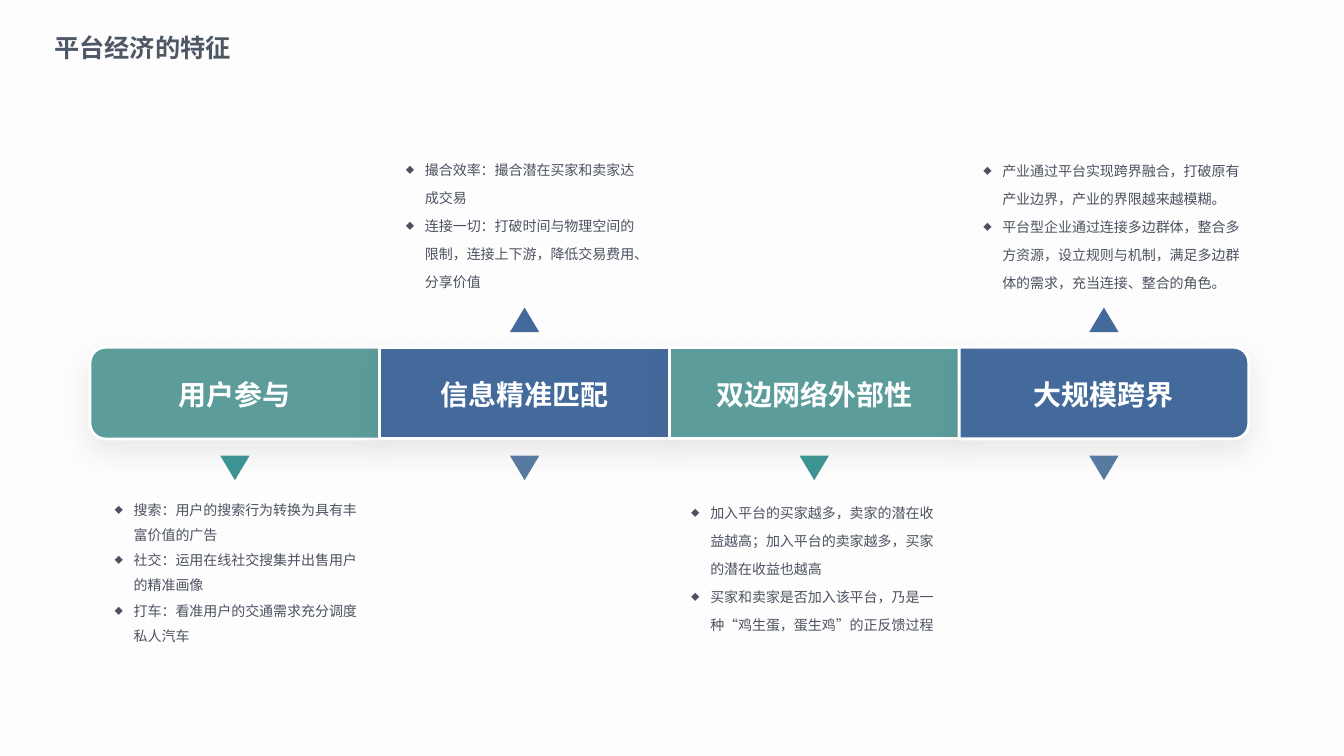
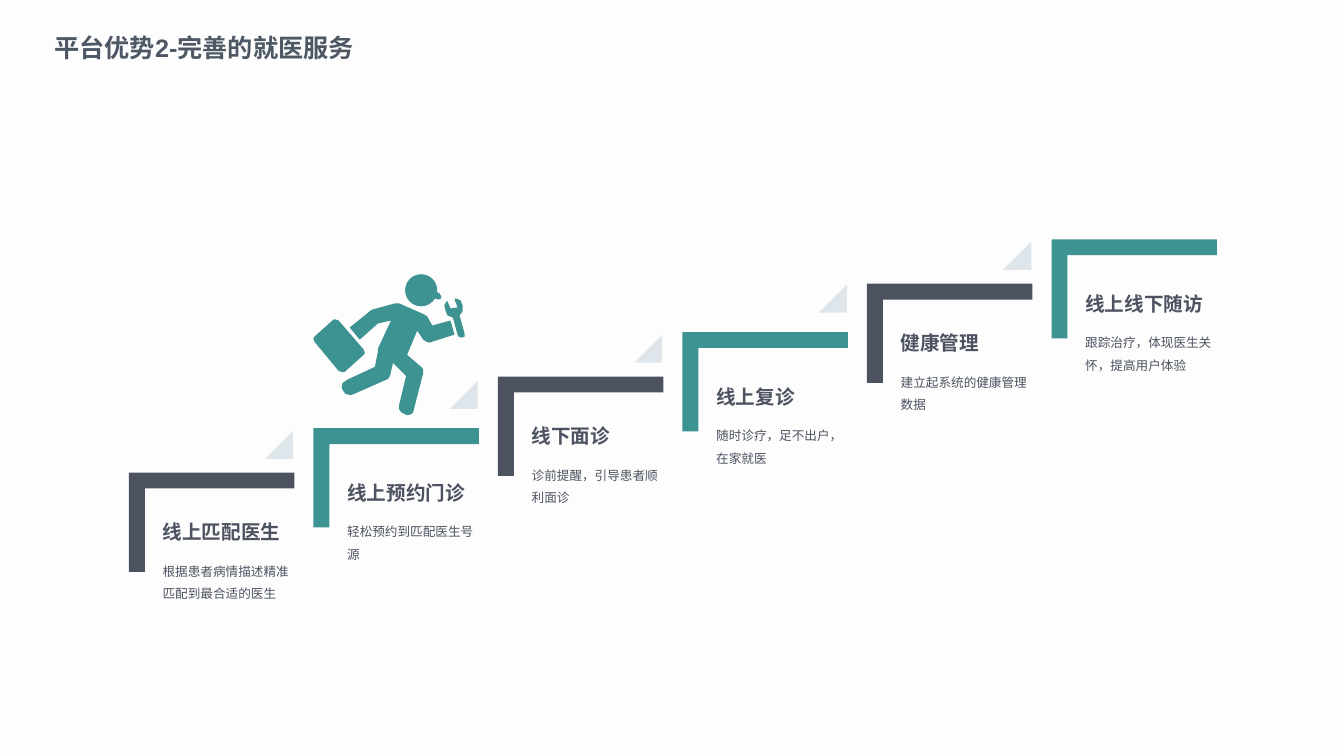
"""Build two slides on platform economy traits and the steps of a care service."""
import lxml.etree
import pptx
import pptx.dml.color
import pptx.enum.shapes
import pptx.enum.text
import pptx.oxml.ns
import pptx.util

Cm = pptx.util.Cm
Pt = pptx.util.Pt
RGB = pptx.dml.color.RGBColor.from_string
SHAPE = pptx.enum.shapes.MSO_SHAPE
ALIGN = pptx.enum.text.PP_ALIGN
qn = pptx.oxml.ns.qn


class Theme:
    white = RGB("FFFFFF")
    haze = RGB("FDFDFD")
    title = RGB("4E5865")
    slate = RGB("4C5260")
    teal = RGB("3D9391")
    sage = RGB("5C9C9B")
    blue = RGB("446A9C")
    steel = RGB("597AA0")
    mist = RGB("DFE6EB")
    shadow = RGB("32363F")
    latin = "Arial"
    chinese = "Noto Sans CJK SC"
    title_size = Pt(18)
    label_size = Pt(20)
    step_size = Pt(14)
    note_size = Pt(10)
    detail_size = Pt(9)


def paint(shape, color):
    """Give a shape a flat fill with no outline or shadow."""
    shape.shadow.inherit = False
    shape.fill.solid()
    shape.fill.fore_color.rgb = color
    shape.line.fill.background()
    return shape


def write(page, area, lines, size, color, bold=False, font=Theme.latin,
          spacing=1.0, align=ALIGN.LEFT, bullet=False, inset=True):
    """Place a wrapping text box; area is left, top, width, height in cm."""
    box = page.shapes.add_textbox(*(Cm(length) for length in area))
    frame = box.text_frame
    frame.word_wrap = True
    if not inset:
        frame.margin_left = frame.margin_right = 0
        frame.margin_top = frame.margin_bottom = 0
    for index, line in enumerate(lines):
        para = frame.paragraphs[0] if index == 0 else frame.add_paragraph()
        para.text = line
        para.alignment = align
        para.line_spacing = spacing
        properties = para._p.get_or_add_pPr()
        if bullet:
            properties.set("marL", str(Cm(0.48)))
            properties.set("indent", str(-Cm(0.48)))
            lxml.etree.SubElement(properties, qn("a:buSzPct"), val="60000")
            lxml.etree.SubElement(properties, qn("a:buFont"), typeface=Theme.chinese)
            lxml.etree.SubElement(properties, qn("a:buChar"), char="◆")
        para.font.size = size
        para.font.bold = bold
        para.font.color.rgb = color
        para.font.name = font
        latin = properties.find(qn("a:defRPr")).find(qn("a:latin"))
        latin.addnext(latin.makeelement(qn("a:ea"), {"typeface": Theme.chinese}))


deck = pptx.Presentation()
deck.slide_width = Cm(33.87)
deck.slide_height = Cm(19.05)
backdrop = deck.slide_master.background.fill
backdrop.solid()
backdrop.fore_color.rgb = Theme.haze

pages = []
for title in ("平台经济的特征", "平台优势2-完善的就医服务"):
    page = deck.slides.add_slide(deck.slide_layouts[6])
    write(page, (1.12, 0.69, 8.13, 1.02), [title],
          Theme.title_size, Theme.title, bold=True)
    pages.append(page)
traits_page, steps_page = pages

bar_left, bar_top, bar_height, segment_width = 2.27, 8.75, 2.31, 7.3
arrow_width, arrow_height = 0.74, 0.62
traits = (
    ("用户参与", -90, Theme.sage, (2.64, 12.29, 6.65, 4.01), 1.5, (
        "搜索：用户的搜索行为转换为具有丰富价值的广告",
        "社交：运用在线社交搜集并出售用户的精准画像",
        "打车：看准用户的交通需求充分调度私人汽车",
    )),
    ("信息精准匹配", 0, Theme.blue, (9.98, 3.66, 6.4, 3.73), Pt(20), (
        "撮合效率：撮合潜在买家和卖家达成交易",
        "连接一切：打破时间与物理空间的限制，连接上下游，降低交易费用、分享价值",
    )),
    ("双边网络外部性", 0, Theme.sage, (17.17, 12.3, 6.65, 3.73), Pt(20), (
        "加入平台的买家越多，卖家的潜在收益越高；加入平台的卖家越多，买家的潜在收益也越高",
        "买家和卖家是否加入该平台，乃是一种“鸡生蛋，蛋生鸡”的正反馈过程",
    )),
    ("大规模跨界", 90, Theme.blue, (24.53, 3.68, 7.16, 3.73), Pt(20), (
        "产业通过平台实现跨界融合，打破原有产业边界，产业的界限越来越模糊。",
        "平台型企业通过连接多边群体，整合多方资源，设立规则与机制，满足多边群体的需求，充当连接、整合的角色。",
    )),
)
for index, (label, turn, color, area, spacing, notes) in enumerate(traits):
    left = bar_left + index * segment_width
    center = left + segment_width / 2
    width, height = (bar_height, segment_width) if turn else (segment_width, bar_height)
    segment = paint(traits_page.shapes.add_shape(
        SHAPE.ROUND_2_SAME_RECTANGLE if turn else SHAPE.RECTANGLE,
        Cm(center - width / 2), Cm(bar_top + (bar_height - height) / 2),
        Cm(width), Cm(height)), color)
    segment.rotation = turn
    segment.line.color.rgb = Theme.white
    segment.line.width = Pt(2)
    effects = segment._element.spPr.find(qn("a:effectLst"))
    shadow = lxml.etree.SubElement(
        effects, qn("a:outerShdw"), blurRad=str(Pt(20)), dist=str(Pt(9)),
        dir="5400000", rotWithShape="0")
    tint = lxml.etree.SubElement(shadow, qn("a:srgbClr"), val=str(Theme.shadow))
    lxml.etree.SubElement(tint, qn("a:alpha"), val="10000")
    write(traits_page, (left, 9.39, segment_width, 1.11), [label],
          Theme.label_size, Theme.white, bold=True, align=ALIGN.CENTER)

    is_blue = color == Theme.blue
    arrows = [(11.48, 180, Theme.steel if is_blue else Theme.teal)]
    if is_blue:
        arrows.append((7.75, 0, Theme.blue))
    for top, direction, arrow_color in arrows:
        arrow = paint(traits_page.shapes.add_shape(
            SHAPE.ISOSCELES_TRIANGLE, Cm(center - arrow_width / 2), Cm(top),
            Cm(arrow_width), Cm(arrow_height)), arrow_color)
        arrow.rotation = direction
    write(traits_page, area, notes, Theme.note_size, Theme.slate,
          spacing=spacing, bullet=True)

step_left, step_pitch = 3.25, 4.65
bracket_width, bracket_height, thickness = 4.17, 2.5, 0.4
steps = (
    (11.91, "线上匹配医生", "根据患者病情描述精准匹配到最合适的医生"),
    (10.79, "线上预约门诊", "轻松预约到匹配医生号源"),
    (9.49, "线下面诊", "诊前提醒，引导患者顺利面诊"),
    (8.37, "线上复诊", "随时诊疗，足不出户，在家就医"),
    (7.15, "健康管理", "建立起系统的健康管理数据"),
    (6.03, "线上线下随访", "跟踪治疗，体现医生关怀，提高用户体验"),
)
for index, (top, heading, detail) in enumerate(steps):
    left = step_left + index * step_pitch
    right, bottom = left + bracket_width, top + bracket_height
    inner_left, inner_top = left + thickness, top + thickness
    outline = steps_page.shapes.build_freeform(Cm(left), Cm(top))
    outline.add_line_segments([(Cm(x), Cm(y)) for x, y in (
        (right, top), (right, inner_top), (inner_left, inner_top),
        (inner_left, bottom), (left, bottom))])
    is_teal = index % 2 == 1
    paint(outline.convert_to_shape(), Theme.teal if is_teal else Theme.slate)
    if index < len(steps) - 1:
        corner = paint(steps_page.shapes.add_shape(
            SHAPE.RIGHT_TRIANGLE, Cm(left + 3.43), Cm(top - (1.2 if is_teal else 1.06)),
            Cm(0.71), Cm(0.71)), Theme.mist)
        corner.rotation = 270
    heading_top = top + (1.03 if is_teal else 0.9)
    for text_top, text, size, bold in (
        (heading_top, heading, Theme.step_size, True),
        (heading_top + 1.2, detail, Theme.detail_size, False),
    ):
        write(steps_page, (left + 0.85, text_top, 3.28, 1.24), [text], size,
              Theme.slate, bold=bold, font=Theme.chinese, spacing=1.5, inset=False)

bag = (
    (333, 317), (331, 317), (312, 334), (311, 336), (312, 339), (336, 368),
    (339, 369), (342, 369), (361, 352), (362, 350), (361, 347), (336, 318),
)
body = (
    (396, 301), (392, 301), (370, 307), (368, 308), (347, 325), (357, 337),
    (375, 321), (388, 318), (375, 346), (375, 349), (372, 364), (344, 377),
    (340, 380), (339, 384), (340, 387), (343, 391), (348, 392), (351, 391),
    (385, 376), (387, 373), (390, 360), (403, 373), (396, 402), (396, 406),
    (398, 409), (402, 411), (404, 412), (408, 411), (410, 409), (411, 405),
    (420, 370), (420, 367), (419, 365), (404, 352), (414, 328), (420, 337),
    (423, 339), (426, 340), (451, 332), (447, 318), (429, 323), (424, 314),
    (421, 312),
)
wrench = (
    (452, 296), (451, 297), (454, 305), (447, 306), (444, 299), (443, 299),
    (441, 303), (442, 308), (444, 313), (449, 315), (450, 317), (454, 332),
    (455, 334), (458, 335), (461, 334), (461, 331), (456, 313), (459, 309),
    (459, 303), (457, 298),
)
visor = ((428, 294), (431, 296), (434, 297), (437, 297), (438, 294), (436, 291), (430, 288))
runner = steps_page.shapes.build_freeform(*bag[0], scale=Cm(2.54) / 100)
runner.add_line_segments(bag[1:])
for contour in (body, wrench, visor):
    runner.move_to(*contour[0])
    runner.add_line_segments(contour[1:])
paint(runner.convert_to_shape(), Theme.teal)
paint(steps_page.shapes.add_shape(
    SHAPE.OVAL, Cm(10.21), Cm(6.91), Cm(0.81), Cm(0.81)), Theme.teal)

deck.save("out.pptx")
